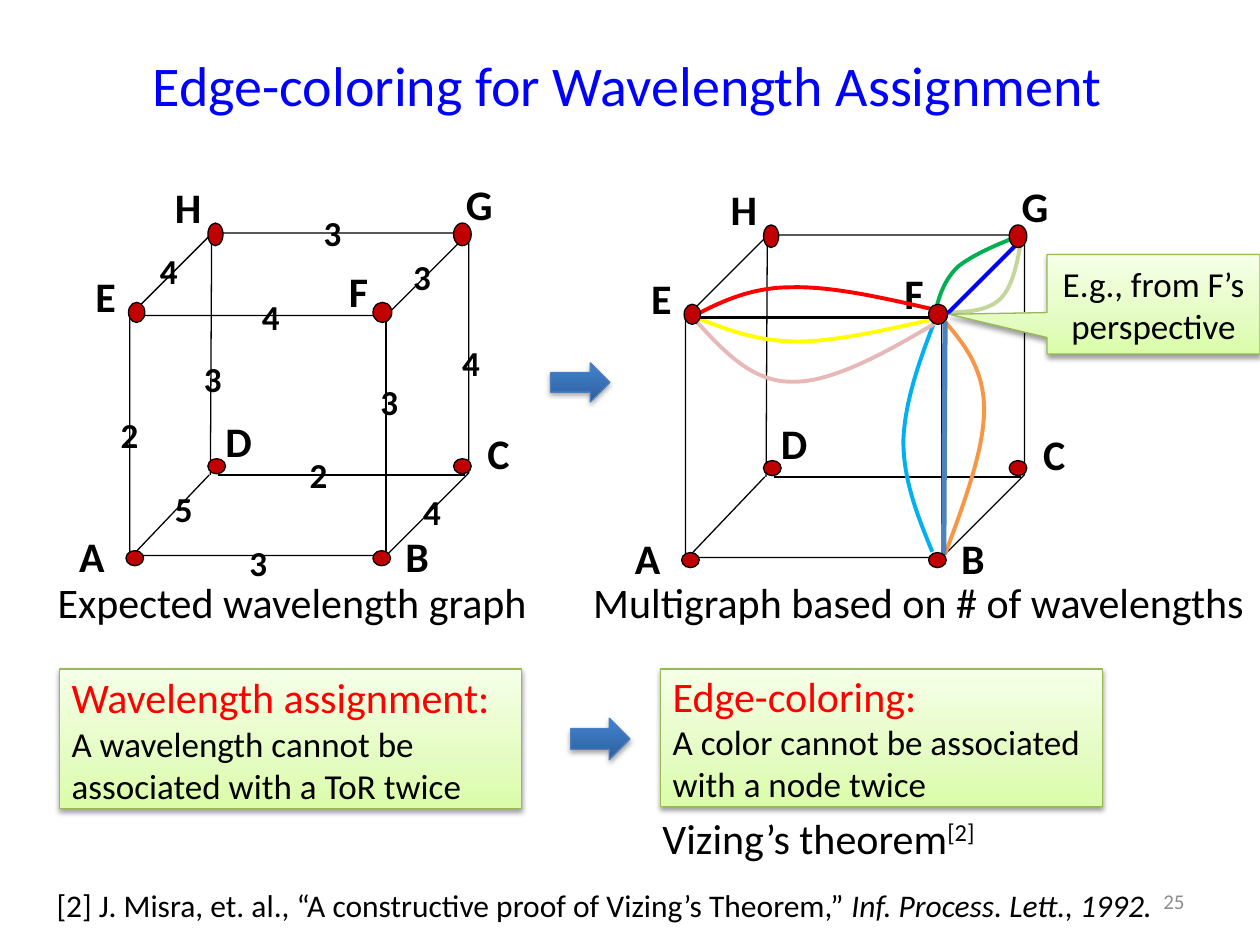
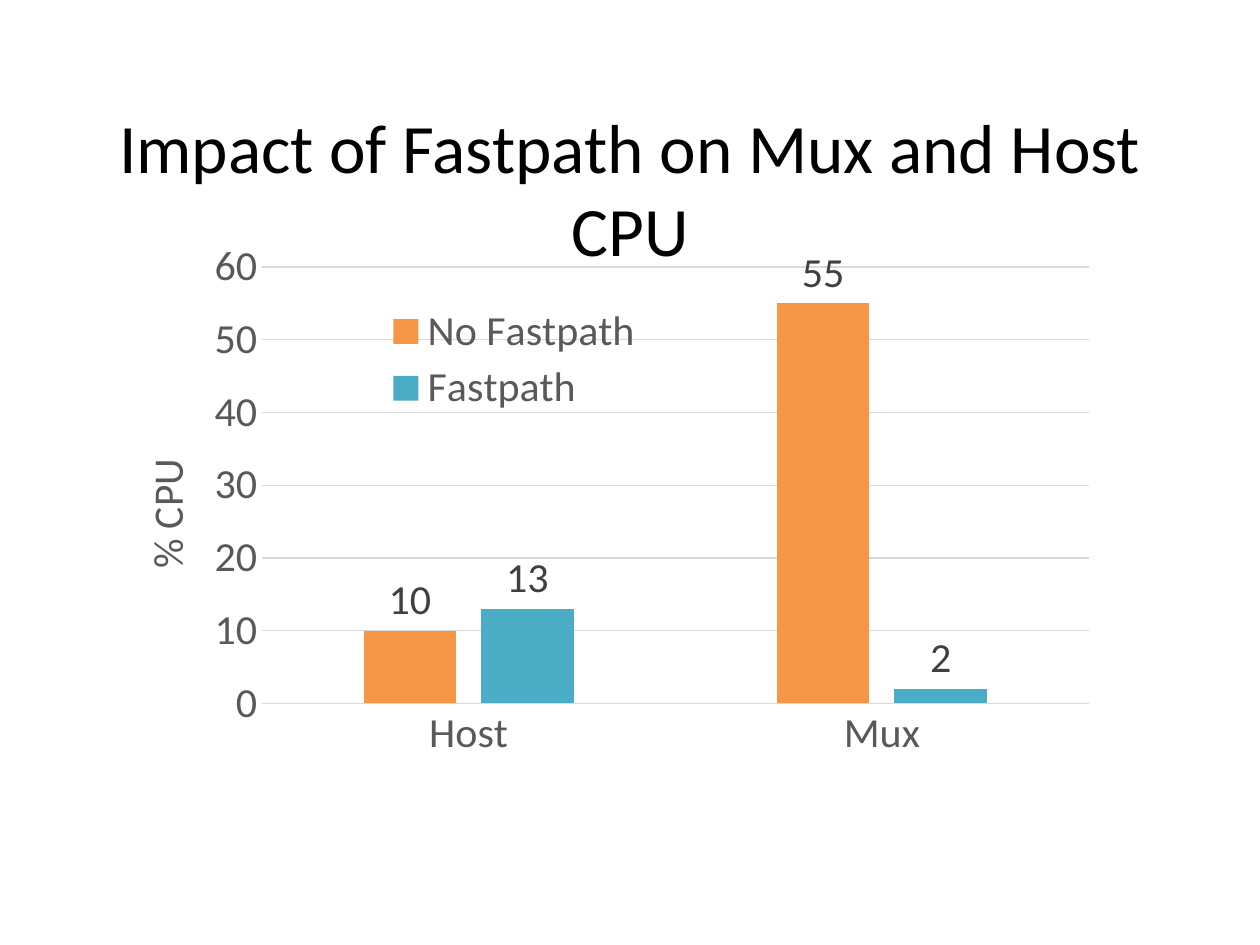
from copy import deepcopy
from dataclasses import dataclass

from lxml.etree import SubElement
from pptx import Presentation
from pptx.chart.data import CategoryChartData
from pptx.dml.color import RGBColor
from pptx.enum.chart import XL_CHART_TYPE, XL_LABEL_POSITION, XL_LEGEND_POSITION, XL_TICK_MARK
from pptx.enum.shapes import MSO_CONNECTOR, MSO_SHAPE
from pptx.enum.text import MSO_ANCHOR, MSO_AUTO_SIZE, PP_ALIGN
from pptx.oxml.ns import qn
from pptx.util import Inches, Pt

COLUMNS, ROWS = 100, 75


@dataclass(frozen=True)
class Theme:
    font: str = "Calibri"
    ink: str = "000000"
    title_blue: str = "0000FF"
    heading: str = "FF0000"
    muted: str = "8C8C8C"
    node: str = "C00000"
    axis: str = "595959"
    value: str = "404040"
    grid: str = "D9D9D9"
    bars: tuple = ("F79646", "4BACC6")
    card_stops: tuple = ((0, "DAFDA7"), (0.35, "E4FCC2"), (1, "F5FFE7"))
    card_line: str = "98B955"
    arrow_stops: tuple = ((0, "2F5F99"), (0.8, "3D7CC7"), (1, "3A7CCB"))
    arrow_line: str = "4B7EBC"
    big: float = 24
    body: float = 20
    note: float = 18
    small: float = 12
    thin: float = 0.75
    thick: float = 2.25


THEME = Theme()


@dataclass(frozen=True)
class Span:
    text: str
    size: float = THEME.big
    color: str = THEME.ink
    bold: bool = False
    italic: bool = False
    raised: bool = False


def rgb(value):
    return RGBColor.from_string(value)


class Deck:
    def __init__(self, theme):
        self.theme = theme
        self.deck = Presentation()
        self.deck.slide_width, self.deck.slide_height = Inches(10), Inches(7.5)
        self.slide = None

    def x(self, columns):
        return int(self.deck.slide_width * columns / COLUMNS)

    def y(self, rows):
        return int(self.deck.slide_height * rows / ROWS)

    def area(self, left, top, width, height):
        return self.x(left), self.y(top), self.x(width), self.y(height)

    def new_slide(self, title, area):
        self.slide = self.deck.slides.add_slide(self.deck.slide_layouts[5])
        heading = self.slide.shapes.title
        heading.left, heading.top, heading.width, heading.height = self.area(*area)
        self.fill_text(heading.text_frame, [[title]], PP_ALIGN.CENTER, MSO_ANCHOR.MIDDLE)

    def style_font(self, font, size, color):
        font.name, font.size, font.bold = self.theme.font, Pt(size), False
        font.color.rgb = rgb(color)

    def fill_text(self, frame, paragraphs, align=PP_ALIGN.LEFT, anchor=MSO_ANCHOR.TOP):
        frame.word_wrap = True
        frame.auto_size = MSO_AUTO_SIZE.NONE
        frame.vertical_anchor = anchor
        for index, spans in enumerate(paragraphs):
            paragraph = frame.add_paragraph() if index else frame.paragraphs[0]
            paragraph.alignment = align
            for span in spans:
                run = paragraph.add_run()
                run.text = span.text
                self.style_font(run.font, span.size, span.color)
                run.font.bold, run.font.italic = span.bold, span.italic
                if span.raised:
                    run.font._element.set("baseline", "30000")

    def text(self, area, *spans, **layout):
        box = self.slide.shapes.add_textbox(*self.area(*area))
        self.fill_text(box.text_frame, [spans], **layout)

    def stroke(self, line, color, width):
        line.color.rgb = rgb(color)
        line.width = Pt(width)

    def shape(self, kind, area, fill=None, line=THEME.ink, adjust=()):
        shape = self.slide.shapes.add_shape(kind, *self.area(*area))
        shape.shadow.inherit = False
        for index, value in enumerate(adjust):
            shape.adjustments[index] = value
        if fill:
            shape.fill.solid()
            shape.fill.fore_color.rgb = rgb(fill)
        else:
            shape.fill.background()
        self.stroke(shape.line, line, self.theme.thin)
        return shape

    def raised_shape(self, kind, area, stops, line, opacity, adjust=()):
        shape = self.shape(kind, area, line=line, adjust=adjust)
        shape.fill.gradient()
        shape.fill.gradient_angle = 90
        properties = shape._element.spPr
        stop_list = properties.find(".//" + qn("a:gsLst"))
        stop_list.append(deepcopy(stop_list[0]))
        for stop, (position, color) in zip(shape.fill.gradient_stops, stops):
            stop.position = position
            stop.color.rgb = rgb(color)
        shadow = SubElement(properties.find(qn("a:effectLst")), qn("a:outerShdw"),
                            blurRad=str(Pt(3.1)), dist=str(Pt(1.7)),
                            dir="5400000", rotWithShape="0")
        black = SubElement(shadow, qn("a:srgbClr"), val=self.theme.ink)
        SubElement(black, qn("a:alpha"), val=str(opacity * 1000))
        return shape

    def card(self, area, *paragraphs, kind=MSO_SHAPE.RECTANGLE, align=PP_ALIGN.LEFT, adjust=()):
        card = self.raised_shape(kind, area, self.theme.card_stops,
                                 self.theme.card_line, 38, adjust)
        self.fill_text(card.text_frame, paragraphs, align, MSO_ANCHOR.MIDDLE)

    def arrow(self, area):
        self.raised_shape(MSO_SHAPE.RIGHT_ARROW, area, self.theme.arrow_stops,
                          self.theme.arrow_line, 35)

    def edge(self, start, end, color=THEME.ink, width=THEME.thin):
        edge = self.slide.shapes.add_connector(
            MSO_CONNECTOR.STRAIGHT, self.x(start[0]), self.y(start[1]),
            self.x(end[0]), self.y(end[1]))
        self.stroke(edge.line, color, width)
        SubElement(edge._element.spPr, qn("a:effectLst"))

    def curve(self, color, *points):
        start, *rest = [(self.x(x), self.y(y)) for x, y in points]
        builder = self.slide.shapes.build_freeform(*start)
        builder.add_line_segments(rest, close=False)
        curve = builder.convert_to_shape()
        curve.shadow.inherit = False
        curve.fill.background()
        self.stroke(curve.line, color, self.theme.thick)
        segments = list(curve._element.iter(qn("a:lnTo")))
        outline = segments[0].getparent()
        for first in range(0, len(segments), 3):
            bend = SubElement(outline, qn("a:cubicBezTo"))
            for segment in segments[first:first + 3]:
                bend.append(segment[0])
                outline.remove(segment)

    def cube(self, dx, dy):
        self.shape(MSO_SHAPE.CUBE, (10.3 + dx, 18.5 + dy, 26.9, 25.6), adjust=(0.256,))
        for start, end in HIDDEN_EDGES:
            self.edge((start[0] + dx, start[1] + dy), (end[0] + dx, end[1] + dy))
        for name, (left, top) in NODE_LABELS.items():
            self.text((left + dx, top + dy, 3.7, 7.8), Span(name, bold=True))

    def nodes(self, dx, dy):
        for left, top, width, height in NODES:
            self.shape(MSO_SHAPE.OVAL, (left + dx, top + dy, width, height), self.theme.node)

    def place(self, element, index, **shares):
        for old in element.findall(qn("c:layout")):
            element.remove(old)
        layout = element.makeelement(qn("c:layout"))
        element.insert(index, layout)
        manual = SubElement(layout, qn("c:manualLayout"))
        if element.tag == qn("c:plotArea"):
            SubElement(manual, qn("c:layoutTarget"), val="inner")
        for side in ("x", "y"):
            SubElement(manual, qn(f"c:{side}Mode"), val="edge")
        for side, share in shares.items():
            SubElement(manual, qn(f"c:{side}"), val=str(share))

    def column_chart(self, area, categories, series, axis_title):
        theme = self.theme
        data = CategoryChartData()
        data.categories = categories
        for name, values in series.items():
            data.add_series(name, values)
        chart = self.slide.shapes.add_chart(
            XL_CHART_TYPE.COLUMN_CLUSTERED, *self.area(*area), data).chart
        self.style_font(chart.font, theme.big, theme.axis)
        chart.has_title = False
        chart.has_legend = True
        chart.legend.position = XL_LEGEND_POSITION.BOTTOM
        chart.legend.include_in_layout = False
        self.style_font(chart.legend.font, theme.big, theme.axis)
        self.place(chart.legend._element, 1, x=0.26, y=0.09, w=0.28, h=0.22)
        for axis in (chart.category_axis, chart.value_axis):
            axis.major_tick_mark = axis.minor_tick_mark = XL_TICK_MARK.NONE
            self.style_font(axis.tick_labels.font, theme.big, theme.axis)
        self.stroke(chart.category_axis.format.line, theme.grid, theme.thin)
        scale = chart.value_axis
        scale.minimum_scale, scale.maximum_scale, scale.major_unit = 0, 60, 10
        scale.format.line.fill.background()
        self.stroke(scale.major_gridlines.format.line, theme.grid, theme.thin)
        caption = scale.axis_title
        run = caption.text_frame.paragraphs[0].add_run()
        run.text = axis_title
        self.style_font(run.font, theme.big, theme.axis)
        caption.text_frame._txBody.bodyPr.set("rot", "-5400000")
        self.place(caption._element, 1, x=0.02, y=0.37)
        plot = chart.plots[0]
        plot.gap_width, plot.overlap, plot.vary_by_categories = 219, -27, False
        for bars, color in zip(plot.series, theme.bars):
            bars.format.fill.solid()
            bars.format.fill.fore_color.rgb = rgb(color)
            labels = bars.data_labels
            labels.show_value = True
            labels.position = XL_LABEL_POSITION.OUTSIDE_END
            self.style_font(labels.font, theme.big, theme.value)
        self.place(plot._element.getparent(), 0, x=0.15, y=0.03, w=0.82, h=0.8)


HIDDEN_EDGES = [((16.8, 18.5), (16.7, 37.7)), ((10.5, 44.1), (16.6, 37.7)),
                ((17.3, 37.7), (36.9, 37.7))]
NODE_LABELS = {"A": (5.3, 41.6), "B": (31.2, 41.6), "C": (37.7, 33.4), "D": (16.9, 32.5),
               "E": (6.6, 21), "F": (26.7, 20.6), "G": (36, 13.7), "H": (12.9, 13.9)}
NODES = [(16.5, 17.7, 1.2, 1.8), (36, 17.7, 1.4, 1.8), (29.6, 24, 1.5, 1.6),
         (10.2, 24, 1.3, 1.6), (16.5, 36.4, 1.4, 1.2), (36, 36.4, 1.4, 1.2),
         (29.6, 43.7, 1.4, 1.2), (10, 43.7, 1.4, 1.2)]
WEIGHTS = {"EF": (4, 19.8, 23), "BF": (3, 29.2, 29.7), "FG": (3, 31.8, 19.8),
           "AB": (3, 18.8, 42.5), "AD": (5, 12.9, 38.2), "AE": (2, 8.6, 32.3),
           "BC": (4, 32.6, 38.4), "CD": (2, 23.6, 35.5), "CG": (4, 35.7, 26.6),
           "DH": (3, 15.2, 27.9), "EH": (4, 11.7, 19.3), "GH": (3, 24.7, 16.3)}
WAVELENGTH_CURVES = {
    "00B050": [(74.3, 24.5), (74.6, 23.3), (75, 22.2), (76, 21.2),
               (77.1, 20.3), (78.9, 19.5), (80.7, 18.8)],
    "C3D69B": [(74.8, 24.8), (76.6, 24.8), (78.3, 24.7), (79.3, 23.8),
               (80.3, 22.9), (80.7, 21.1), (81, 19.3)],
    "00B0F0": [(74.3, 25.2), (73, 28.5), (71.8, 31.9), (71.7, 35),
               (71.7, 38.1), (72.8, 40.9), (74, 43.8)],
    "F79646": [(74.7, 25.2), (76.4, 27.1), (78, 29.1), (78.1, 32.2),
               (78.2, 35.4), (76.6, 39.7), (75, 44)],
    "FF0000": [(54.8, 25.2), (57.1, 24), (59.5, 22.8), (62.8, 22.8),
               (66.1, 22.7), (70.4, 23.7), (74.7, 24.7)],
    "FFFF00": [(55.2, 25.2), (57.6, 26.1), (60, 27.1), (63.3, 27.1),
               (66.5, 27.1), (70.6, 26.1), (74.7, 25.2)],
    "E6B9B8": [(54.8, 25), (57.2, 27.6), (59.5, 30.3), (62.8, 30.3),
               (66, 30.4), (70.3, 28), (74.5, 25.5)],
}
WAVELENGTH_LINES = [((55.2, 25.2), (74.7, 25.2), "000000", 2.25),
                    ((80.7, 19.4), (75.2, 24.9), "0000FF", 2.25),
                    ((75, 25.5), (74.9, 44), "4F81BD", 3)]


def edge_coloring(deck):
    theme = deck.theme
    deck.new_slide(Span("Edge-coloring for Wavelength Assignment", 32, theme.title_blue),
                   (1.2, 1.6, 97.2, 10.2))
    deck.text((71.7, 69.5, 23.3, 4), Span("25", theme.small, theme.muted),
              align=PP_ALIGN.RIGHT, anchor=MSO_ANCHOR.MIDDLE)

    deck.cube(0, 0)
    deck.nodes(0, 0)
    for weight, left, top in WEIGHTS.values():
        deck.text((left, top, 5.2, 4.4), Span(str(weight), theme.body, bold=True))
    deck.text((3.6, 45.3, 50.4, 5), Span("Expected wavelength graph"))

    multigraph = (44.1, 0.15)
    deck.cube(*multigraph)
    deck.text((46.1, 45.3, 54.7, 5), Span("Multigraph based on # of wavelengths"))
    for color, points in WAVELENGTH_CURVES.items():
        deck.curve(color, *points)
    for line in WAVELENGTH_LINES:
        deck.edge(*line)
    deck.nodes(*multigraph)
    deck.arrow((43.7, 28.8, 4.7, 3.1))
    deck.card((83.1, 20.2, 16.9, 7.9), [Span("E.g., from F’s perspective", theme.body)],
              kind=MSO_SHAPE.RECTANGULAR_CALLOUT, align=PP_ALIGN.CENTER,
              adjust=(-0.96, 0.1))

    deck.card((4.7, 53.1, 36.7, 11.1),
              [Span("Wavelength assignment:", color=theme.heading)],
              [Span("A wavelength cannot be associated with a ToR twice", theme.body)])
    deck.card((52.4, 53.1, 35.1, 10.9),
              [Span("Edge-coloring:", color=theme.heading)],
              [Span("A color cannot be associated with a node twice", theme.body)])
    deck.arrow((45.3, 57, 4.7, 3.3))
    deck.text((51.6, 64, 28.3, 5), Span("Vizing’s theorem"), Span("[2]", raised=True))
    deck.text((3.5, 69.8, 92.9, 4),
              Span("[2] J. Misra, et. al., “A constructive proof of Vizing’s Theorem,” ",
                   theme.note),
              Span("Inf. Process. Lett., 1992.", theme.note, italic=True))


def fastpath_impact(deck):
    deck.new_slide(Span("Impact of Fastpath on Mux and Host CPU", 39.6),
                   (6.9, 9.4, 86.2, 10.9))
    deck.column_chart((8.8, 19.2, 80, 44), ["Host", "Mux"],
                      {"No Fastpath": (10, 55), "Fastpath": (13, 2)}, "% CPU")


def main():
    deck = Deck(THEME)
    edge_coloring(deck)
    fastpath_impact(deck)
    deck.deck.save("out.pptx")


if __name__ == "__main__":
    main()
